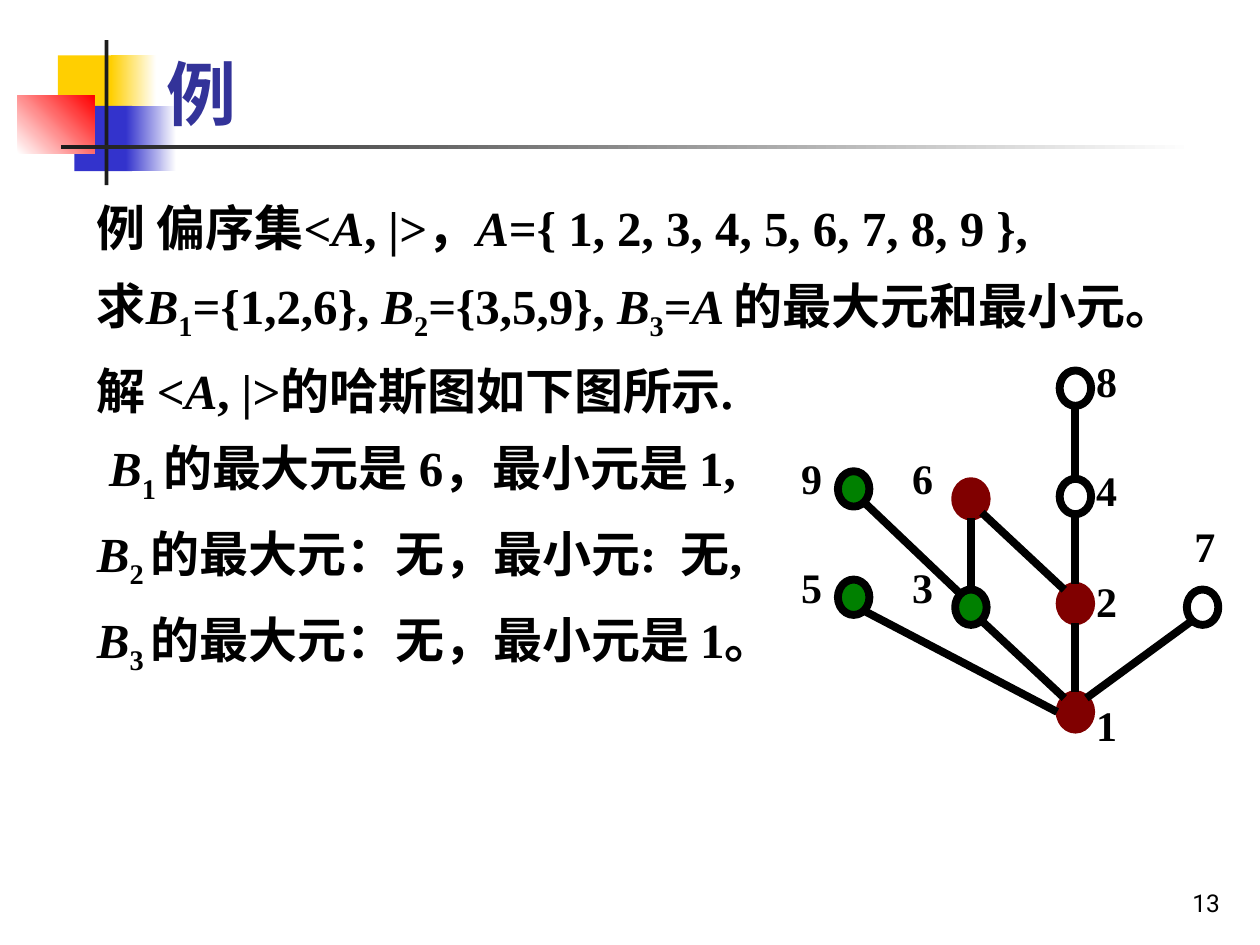
from dataclasses import dataclass
from typing import Optional

import lxml.etree
import pptx
import pptx.dml.color
import pptx.enum.shapes
import pptx.enum.text
import pptx.oxml.ns
import pptx.util

Pt = pptx.util.Pt
Align = pptx.enum.text.PP_ALIGN
Anchor = pptx.enum.text.MSO_ANCHOR
Kind = pptx.enum.shapes.MSO_SHAPE


@dataclass(frozen=True)
class Theme:
    serif: str = "Times New Roman"
    sans: str = "Roboto"
    black: str = "000000"
    white: str = "FFFFFF"
    title: str = "333399"
    yellow: str = "FFCF01"
    blue: str = "3333CC"
    red: str = "FF0000"
    dark: str = "1C1C1C"
    maroon: str = "800000"
    green: str = "008000"
    title_size: float = 40
    body_size: float = 28
    label_size: float = 24
    number_size: float = 14
    stroke: float = 4.5


THEME = Theme()


@dataclass(frozen=True)
class Box:
    left: float
    top: float
    width: float
    height: float

    def emu(self) -> tuple:
        return Pt(self.left), Pt(self.top), Pt(self.width), Pt(self.height)


@dataclass(frozen=True)
class Block:
    box: Box
    start: str
    end: Optional[str] = None
    angle: float = 0


@dataclass(frozen=True)
class Node:
    x: float
    y: float
    label_left: float
    label_top: float
    fill: Optional[str] = None
    line: str = THEME.black


@dataclass(frozen=True)
class Edge:
    lower: int
    upper: int
    from_side: bool = False


@dataclass(frozen=True)
class Piece:
    text: str
    italic: bool = False
    subscript: bool = False


BLOCKS = [
    Block(Box(33.1, 31.7, 34.6, 37.4), THEME.yellow),
    Block(Box(63.4, 31.7, 25.9, 37.4), THEME.yellow, THEME.white),
    Block(Box(42.5, 60.5, 33.1, 37.4), THEME.blue),
    Block(Box(72, 60.5, 28.8, 37.4), THEME.blue, THEME.white),
    Block(Box(10.1, 54.7, 43.9, 33.1), THEME.white, THEME.red, 45),
    Block(Box(59.8, 23, 2.2, 82.8), THEME.dark),
    Block(Box(34.6, 82.8, 648, 2.2), THEME.dark, THEME.white),
]

NODE_WIDTH, NODE_HEIGHT = 18, 20.2
NODES = {
    8: Node(614.5, 221.8, 619.2, 196.6),
    4: Node(614.5, 283.7, 619.2, 259.2),
    2: Node(614.5, 344.9, 619.2, 322.6, THEME.maroon, THEME.maroon),
    1: Node(614.5, 406.8, 619.2, 393.1, THEME.maroon, THEME.maroon),
    6: Node(554.8, 285.1, 514.1, 252, THEME.maroon, THEME.maroon),
    3: Node(554.8, 347, 514.1, 314.6, THEME.green),
    9: Node(487.8, 279.4, 450.7, 252, THEME.green),
    5: Node(487.8, 341.3, 450.7, 314.6, THEME.green),
    7: Node(687.2, 347, 675.4, 290.9),
}
EDGES = [Edge(1, 7), Edge(1, 2), Edge(2, 4), Edge(4, 8), Edge(2, 6),
         Edge(1, 3), Edge(3, 6), Edge(3, 9), Edge(1, 5, from_side=True)]

A, B, BAR = (Piece(letter, italic=True) for letter in "AB|")


def sub(text: str) -> Piece:
    return Piece(text, subscript=True)


STATEMENTS = [
    [Piece("例 偏序集<"), A, Piece(", "), BAR, Piece(">，"), A,
     Piece("={ 1, 2, 3, 4, 5, 6, 7, 8, 9 },")],
    [Piece("求"), B, sub("1"), Piece("={1,2,6}, "), B, sub("2"), Piece("={3,5,9}, "),
     B, sub("3"), Piece("="), Piece("A ", italic=True), Piece("的最大元和最小元。")],
    [Piece("解 <"), A, Piece(", "), BAR, Piece(">的哈斯图如下图所示.")],
    [Piece(" "), B, sub("1 "), Piece("的最大元是 6，最小元是 1,")],
    [B, sub("2 "), Piece("的最大元：无，最小元:  无,")],
    [B, sub("3 "), Piece("的最大元：无，最小元是 1。")],
]


def rgb(color: str) -> pptx.dml.color.RGBColor:
    return pptx.dml.color.RGBColor.from_string(color)


def style(paragraph, size: float, color: str = THEME.black,
          face: str = THEME.serif, bold: bool = True) -> None:
    font = paragraph.font
    font.name, font.size, font.bold = face, Pt(size), bold
    font.color.rgb = rgb(color)


def place(shape, box: Box) -> None:
    shape.left, shape.top, shape.width, shape.height = box.emu()


def draw_block(slide, block: Block) -> None:
    shape = slide.shapes.add_shape(Kind.RECTANGLE, *block.box.emu())
    shape.shadow.inherit = False
    shape.line.fill.background()
    if block.end is None:
        shape.fill.solid()
        shape.fill.fore_color.rgb = rgb(block.start)
        return
    shape.fill.gradient()
    shape.fill.gradient_angle = block.angle
    for stop, color in zip(shape.fill.gradient_stops, (block.start, block.end)):
        stop.color.rgb = rgb(color)


def draw_node(slide, node: Node) -> None:
    box = Box(node.x - NODE_WIDTH / 2, node.y - NODE_HEIGHT / 2, NODE_WIDTH, NODE_HEIGHT)
    circle = slide.shapes.add_shape(Kind.OVAL, *box.emu())
    circle.shadow.inherit = False
    circle.line.color.rgb = rgb(node.line)
    circle.line.width = Pt(THEME.stroke)
    if node.fill:
        circle.fill.solid()
        circle.fill.fore_color.rgb = rgb(node.fill)
    else:
        circle.fill.background()


def draw_edge(slide, edge: Edge) -> None:
    """Run from the rim of the lower node to the rim of the upper one."""
    low, high = NODES[edge.lower], NODES[edge.upper]
    side = (high.x > low.x) - (high.x < low.x)
    dx, dy = (6.3 * side, 7.9) if side else (0, 11.2)
    start_dx, start_dy = (10.4 * side, 0) if edge.from_side else (dx, dy)
    line = slide.shapes.add_connector(
        pptx.enum.shapes.MSO_CONNECTOR.STRAIGHT,
        Pt(low.x + start_dx), Pt(low.y - start_dy), Pt(high.x - dx), Pt(high.y + dy))
    line.line.color.rgb = rgb(THEME.black)
    line.line.width = Pt(THEME.stroke)
    lxml.etree.SubElement(line.element.spPr, pptx.oxml.ns.qn("a:effectLst"))


def draw_text(slide, box: Box, text: str):
    frame = slide.shapes.add_textbox(*box.emu()).text_frame
    frame.word_wrap = True
    frame.text = text
    return frame


def fill_body(body) -> None:
    place(body, Box(48.2, 105.8, 646.6, 328.3))
    frame = body.text_frame
    frame.auto_size = pptx.enum.text.MSO_AUTO_SIZE.NONE
    for index, pieces in enumerate(STATEMENTS):
        paragraph = frame.add_paragraph() if index else frame.paragraphs[0]
        properties = paragraph._p.get_or_add_pPr()
        properties.set("marL", str(Pt(27)))
        properties.set("indent", str(Pt(-27)))
        paragraph.line_spacing = 1.1
        paragraph.space_before = Pt(7 if index else 0)
        lxml.etree.SubElement(properties, pptx.oxml.ns.qn("a:buNone"))
        style(paragraph, THEME.body_size)
        for piece in pieces:
            run = paragraph.add_run()
            run.text = piece.text
            if piece.italic:
                run.font.italic = True
            if piece.subscript:
                run._r.get_or_add_rPr().set("baseline", "-25000")


def main() -> None:
    deck = pptx.Presentation()
    deck.slide_width, deck.slide_height = Pt(720), Pt(540)
    slide = deck.slides.add_slide(deck.slide_layouts[1])
    title, body = slide.shapes.title, slide.placeholders[1]
    for block in BLOCKS:
        draw_block(slide, block)
    for placeholder in (title, body):  # bring the text in front of the blocks
        placeholder.element.getparent().append(placeholder.element)

    place(title, Box(87.8, 20.2, 613.4, 60.5))
    title.text_frame.text = "例"
    title.text_frame.vertical_anchor = Anchor.BOTTOM
    title.text_frame.paragraphs[0].alignment = Align.LEFT
    style(title.text_frame.paragraphs[0], THEME.title_size, THEME.title)
    fill_body(body)

    for node in NODES.values():
        draw_node(slide, node)
    for edge in EDGES:
        draw_edge(slide, edge)
    for number, node in NODES.items():
        label = draw_text(slide, Box(node.label_left, node.label_top, 41.8, 38.9), str(number))
        label.paragraphs[0].line_spacing = 1.1
        style(label.paragraphs[0], THEME.label_size)

    page = draw_text(slide, Box(554.4, 491.8, 149.8, 36), "13")
    page.vertical_anchor = Anchor.BOTTOM
    page.paragraphs[0].alignment = Align.RIGHT
    style(page.paragraphs[0], THEME.number_size, face=THEME.sans, bold=False)
    deck.save("out.pptx")


if __name__ == "__main__":
    main()
